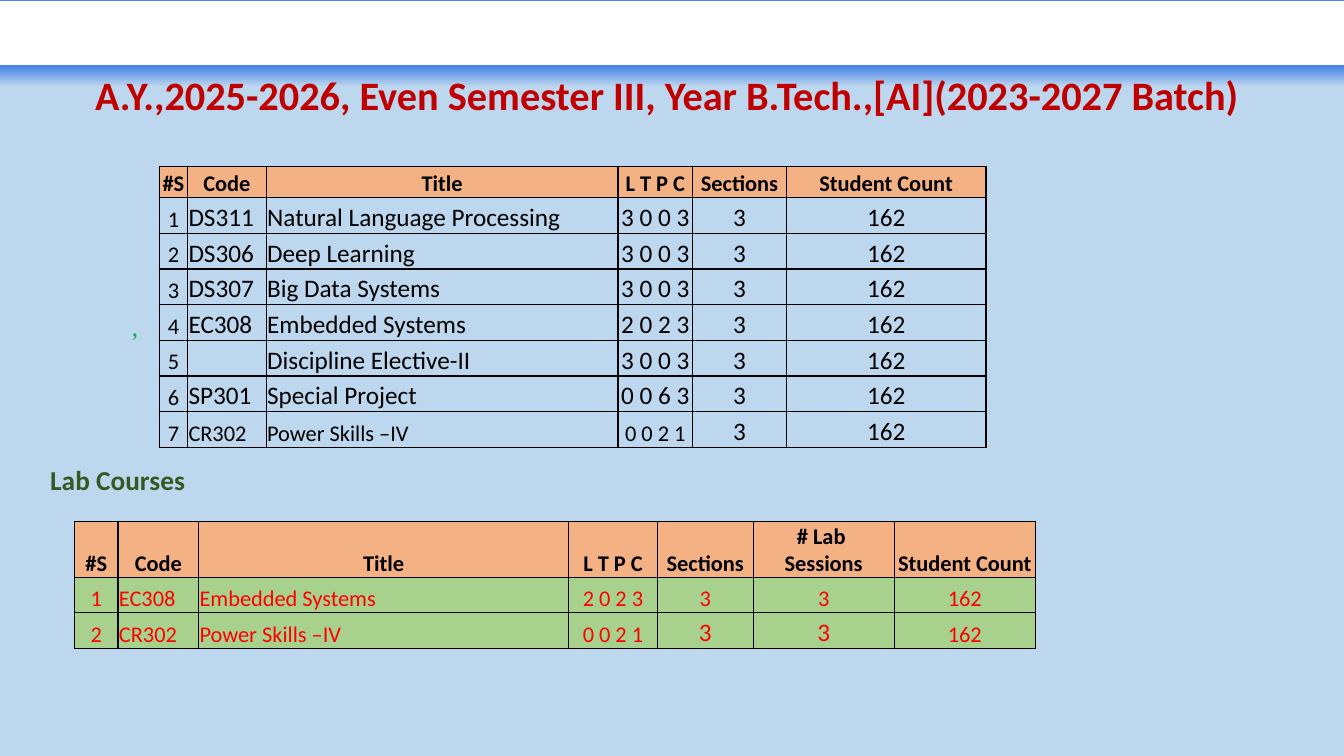
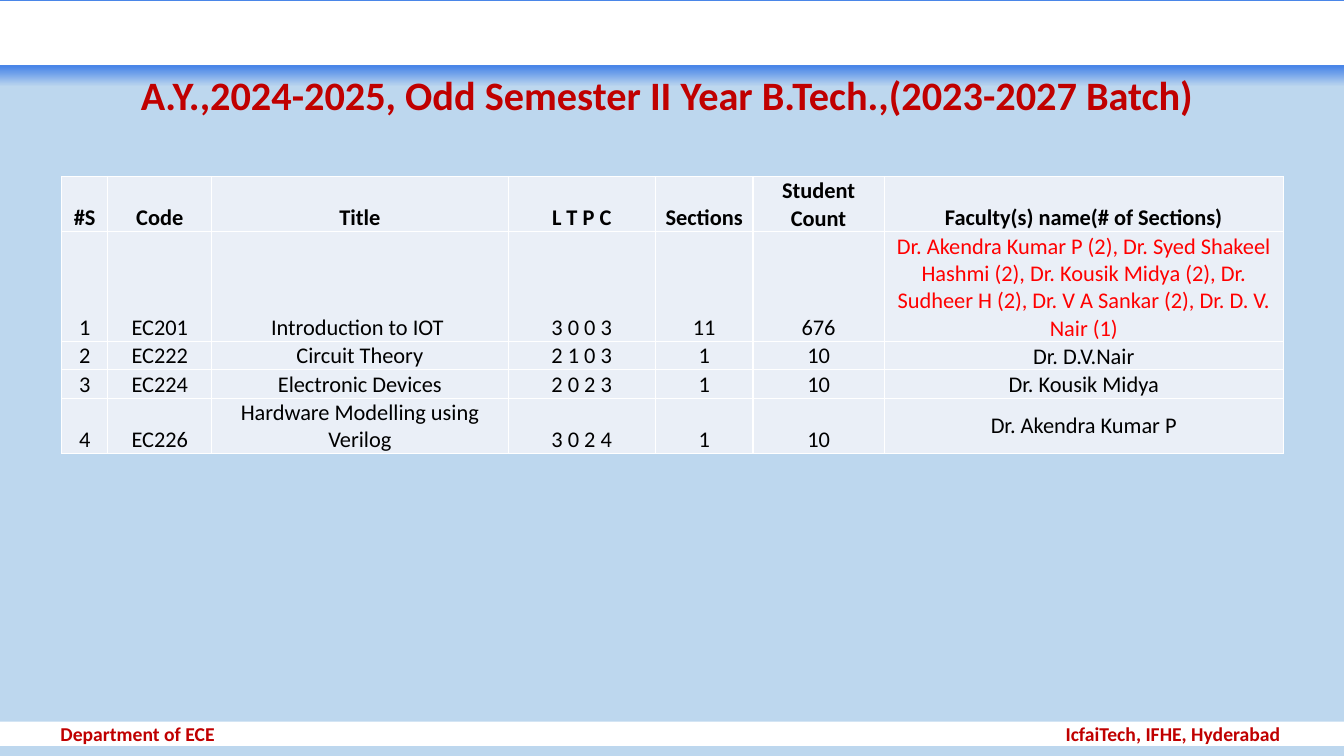
"""Build two course allocation slides with tables in a shared style."""
from dataclasses import dataclass

from lxml import etree
from pptx import Presentation
from pptx import util as u
from pptx.dml import color
from pptx.enum import shapes, text
from pptx.oxml import ns


@dataclass(frozen=True)
class Theme:
    """Colours, fonts and type sizes of the deck."""
    backdrop: str = "BDD7EE"
    white: str = "FFFFFF"
    black: str = "000000"
    glow: str = "4A86E8"
    crimson: str = "C00000"
    red: str = "FF0000"
    forest: str = "385723"
    green: str = "00B050"
    header: str = "F4B183"
    lab_row: str = "A9D18E"
    pale: str = "EAEFF7"
    font: str = "Calibri"
    serif: str = "Times New Roman"
    title_size: float = 28.8
    subtitle_size: float = 19.5
    large_size: float = 18
    cell_size: float = 16
    footer_size: float = 14


THEME = Theme()
LEFT, CENTER = text.PP_ALIGN.LEFT, text.PP_ALIGN.CENTER
MIDDLE, BOTTOM, TOP = (text.MSO_ANCHOR.MIDDLE, text.MSO_ANCHOR.BOTTOM,
                       text.MSO_ANCHOR.TOP)


def rgb(value):
    """Turn a hex string into a colour."""
    return color.RGBColor.from_string(value)


def write_text(frame, words, *, size, ink, bold=False, font=THEME.font,
               align=LEFT, spacing=None, right_tab=None):
    """Fill a text frame with one formatted paragraph per line."""
    for index, line in enumerate(words.split("\n")):
        para = frame.add_paragraph() if index else frame.paragraphs[0]
        para.alignment = align
        if spacing:
            para.line_spacing = spacing
        if right_tab:
            tabs = etree.SubElement(para._p.get_or_add_pPr(), ns.qn("a:tabLst"))
            etree.SubElement(tabs, ns.qn("a:tab"),
                             pos=str(u.Inches(right_tab)), algn="r")
        span = para.add_run()
        span.text = line
        span.font.name, span.font.bold = font, bold
        span.font.size = u.Pt(size)
        span.font.color.rgb = rgb(ink)


def set_borders(cell, ink):
    """Draw a one-point line on each side of a cell."""
    properties = cell._tc.get_or_add_tcPr()
    for index, side in enumerate(("lnL", "lnR", "lnT", "lnB")):
        line = etree.Element(ns.qn(f"a:{side}"), w=str(u.Pt(1)))
        fill = etree.SubElement(line, ns.qn("a:solidFill"))
        etree.SubElement(fill, ns.qn("a:srgbClr"), val=ink)
        properties.insert(index, line)


class SlideBuilder:
    """Holds the deck, its theme and the slide being drawn."""

    def __init__(self, theme):
        """Start an empty widescreen deck."""
        self.theme = theme
        self.deck = Presentation()
        self.deck.slide_width = u.Inches(13.33)
        self.deck.slide_height = u.Inches(7.5)
        self.page = None

    def start_page(self, title):
        """Add a slide with the shared background, band and title."""
        self.page = self.deck.slides.add_slide(self.deck.slide_layouts[6])
        fill = self.page.background.fill
        fill.solid()
        fill.fore_color.rgb = rgb(self.theme.backdrop)
        self.glow()
        self.bar(0.02, 0.62, line=True)
        self.label(title, 0.1, 0.7, 13.13, 0.54, size=self.theme.title_size,
                   ink=self.theme.crimson, bold=True, align=CENTER, spacing=0.9)

    def rectangle(self, top, height):
        """Add a full-width rectangle without line or shadow."""
        box = self.page.shapes.add_shape(
            shapes.MSO_SHAPE.RECTANGLE, 0, u.Inches(top),
            self.deck.slide_width, u.Inches(height))
        box.shadow.inherit = False
        box.line.fill.background()
        return box

    def glow(self):
        """Add the blue strip that fades into the background."""
        box = self.rectangle(0, 0.86)
        box.fill.gradient()
        box.fill.gradient_angle = 270
        stops = ((0.77, self.theme.glow), (1, self.theme.backdrop))
        for stop, (position, ink) in zip(box.fill.gradient_stops, stops):
            stop.position = position
            stop.color.rgb = rgb(ink)

    def bar(self, top, height, line=False):
        """Add a white full-width bar."""
        box = self.rectangle(top, height)
        box.fill.solid()
        box.fill.fore_color.rgb = rgb(self.theme.white)
        if line:
            box.line.color.rgb = rgb(self.theme.white)
            box.line.width = u.Pt(1)
        return box

    def footer(self, left_words, right_words):
        """Add the bottom bar with words at both ends."""
        frame = self.bar(7.16, 0.24).text_frame
        frame.margin_left, frame.margin_right = u.Inches(0.6), u.Inches(0.6)
        frame.margin_top = frame.margin_bottom = 0
        frame.vertical_anchor = MIDDLE
        write_text(frame, f"{left_words}\t{right_words}", bold=True,
                   size=self.theme.footer_size, ink=self.theme.crimson,
                   right_tab=12.1)

    def label(self, words, left, top, width, height, anchor=MIDDLE, **style):
        """Add a text box."""
        box = self.page.shapes.add_textbox(*map(u.Inches, (left, top, width, height)))
        frame = box.text_frame
        frame.word_wrap = True
        frame.vertical_anchor = anchor
        write_text(frame, words, **style)

    def table(self, rows, left, top, widths, heights, *, border, head_fill=None,
              body_fill=None, ink=THEME.black, left_columns=(), large=(),
              accents=(), middle_column=None):
        """Add a bordered table whose first row is the bold header."""
        grid = self.page.shapes.add_table(
            len(rows), len(widths), u.Inches(left), u.Inches(top),
            u.Inches(sum(widths)), u.Inches(sum(heights))).table
        grid.first_row = grid.horz_banding = False
        for column, width in zip(grid.columns, widths):
            column.width = u.Inches(width)
        for row, height in zip(grid.rows, heights):
            row.height = u.Inches(height)
        for r, row in enumerate(rows):
            for c, words in enumerate(row):
                cell, head = grid.cell(r, c), r == 0
                fill = head_fill if head else body_fill
                if fill:
                    cell.fill.solid()
                    cell.fill.fore_color.rgb = rgb(fill)
                else:
                    cell.fill.background()
                set_borders(cell, border)
                cell.margin_left = cell.margin_right = u.Inches(0.01)
                cell.margin_top, cell.margin_bottom = u.Inches(0.01), 0
                cell.vertical_anchor = (
                    MIDDLE if c == middle_column and not head else BOTTOM)
                if not words:
                    continue
                body_ink = self.theme.red if (r, c) in accents else ink
                write_text(
                    cell.text_frame, words, bold=head,
                    ink=self.theme.black if head else body_ink,
                    size=(self.theme.large_size if (r, c) in large
                          else self.theme.cell_size),
                    align=LEFT if c in left_columns and not head else CENTER)


def theory_and_lab(slides):
    """Draw the third-year page with its theory and lab tables."""
    theme = slides.theme
    slides.start_page(
        "A.Y.,2025-2026, Even Semester III, Year B.Tech.,[AI](2023-2027 Batch) ")
    slides.label(",", 1.21, 3.04, 0.3, 0.4, anchor=TOP, size=theme.large_size,
                 ink=theme.green, font=theme.serif)
    courses = [
        ("DS311", "Natural Language Processing", "3 0 0 3"),
        ("DS306", "Deep Learning", "3 0 0 3"),
        ("DS307", "Big Data Systems", "3 0 0 3"),
        ("EC308", "Embedded Systems", "2 0 2 3"),
        ("", "Discipline Elective-II", "3 0 0 3"),
        ("SP301", "Special Project", "0 0 6 3"),
        ("CR302", "Power Skills –IV", "0 0 2 1"),
    ]
    rows = [("#S", "Code", "Title", "L T P C", "Sections", "Student Count")]
    rows += [(str(n), *course, "3", "162") for n, course in enumerate(courses, 1)]
    large = {(r, c) for r in range(1, 8) for c in range(1, 6)}
    large -= {(7, c) for c in range(1, 4)}
    shared = dict(border=theme.black, head_fill=theme.header, left_columns=(1, 2))
    slides.table(rows, 1.58, 1.65, (0.28, 0.78, 3.49, 0.74, 0.93, 1.98),
                 [0.31] + [2.48 / 7] * 7, large=large, **shared)
    slides.label("Lab Courses", 0.4, 4.57, 1.74, 0.41, size=theme.subtitle_size,
                 ink=theme.forest, bold=True, spacing=0.9)
    labs = [("#S", "Code", "Title", "L T P C", "Sections", "# Lab \nSessions",
             "Student Count")]
    labs += [(str(n), *courses[index], "3", "3", "162")
             for n, index in enumerate((3, 6), 1)]
    slides.table(labs, 0.74, 5.17, (0.43, 0.8, 3.67, 0.88, 0.95, 1.4, 1.4),
                 (0.56, 0.35, 0.35), body_fill=theme.lab_row, ink=theme.red,
                 large={(2, 4), (2, 5)}, **shared)


def faculty_allocation(slides):
    """Draw the second-year page with its faculty table."""
    theme = slides.theme
    slides.start_page("A.Y.,2024-2025, Odd Semester II Year B.Tech.,(2023-2027 Batch) ")
    slides.footer("Department of ECE", "IcfaiTech, IFHE, Hyderabad")
    rows = [
        ("#S", "Code", "Title", "L T P C", "Sections", "Student Count",
         "Faculty(s) name(# of Sections)"),
        ("1", "EC201", "Introduction to IOT ", "3 0 0 3", "11", "676",
         "Dr. Akendra Kumar P (2), Dr. Syed Shakeel Hashmi (2), "
         "Dr. Kousik Midya (2), Dr. Sudheer H (2), Dr. V A Sankar (2), "
         "Dr. D. V. Nair (1)"),
        ("2", "EC222", "Circuit Theory", "2 1 0 3", "1", "10", "Dr. D.V.Nair"),
        ("3", "EC224", "Electronic Devices", "2 0 2 3", "1", "10",
         "Dr. Kousik Midya"),
        ("4", "EC226", "Hardware Modelling using Verilog", "3 0 2 4", "1", "10",
         "Dr. Akendra Kumar P"),
    ]
    slides.table(rows, 0.61, 1.75, (0.46, 1.03, 2.94, 1.46, 0.97, 1.3, 3.96),
                 (0.55, 1.09, 0.28, 0.28, 0.55), border=theme.white,
                 head_fill=theme.pale, body_fill=theme.pale,
                 accents={(1, 6)}, middle_column=6)


def main():
    """Build and save the deck."""
    slides = SlideBuilder(THEME)
    theory_and_lab(slides)
    faculty_allocation(slides)
    slides.deck.save("out.pptx")


if __name__ == "__main__":
    main()
